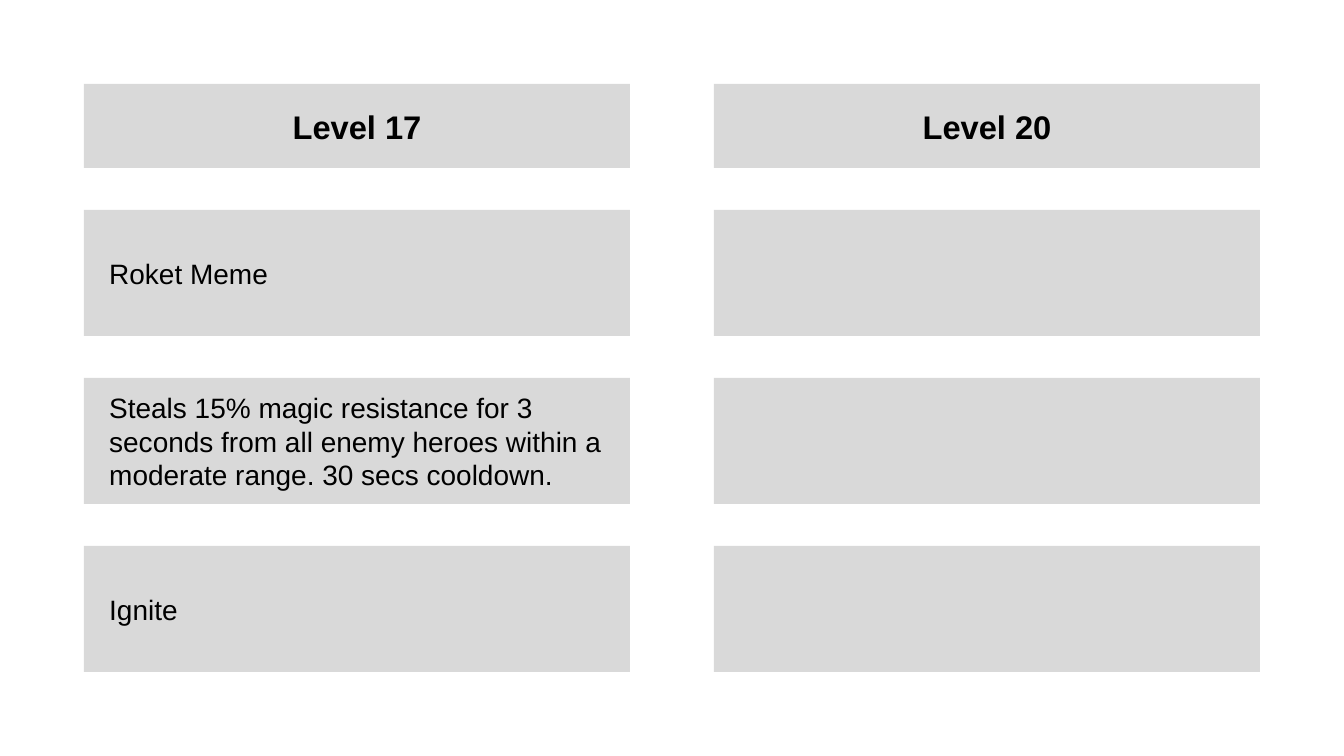
from dataclasses import dataclass

from pptx import Presentation
from pptx.dml.color import RGBColor
from pptx.enum.shapes import MSO_SHAPE
from pptx.enum.text import MSO_ANCHOR, PP_ALIGN
from pptx.util import Inches, Pt


@dataclass(frozen=True)
class Theme:
    panel: RGBColor = RGBColor(0xD9, 0xD9, 0xD9)
    ink: RGBColor = RGBColor(0, 0, 0)
    font: str = "Arial"
    heading_size: int = 28
    body_size: int = 24


THEME = Theme()
HEADING = {"size": Pt(THEME.heading_size), "bold": True}
BODY = {"size": Pt(THEME.body_size), "bold": False}

HEADING_HEIGHT = 1
TALENT_HEIGHT = 1.5
ROW_GAP = 0.5
COLUMN_WIDTH = 6.5
COLUMN_GAP = 1
MARGIN = 1

LEVELS = [
    ("Level 17", [
        "Roket Meme",
        "Steals 15% magic resistance for 3 seconds from all enemy heroes "
        "within a moderate range. 30 secs cooldown.",
        "Ignite",
    ]),
    ("Level 20", ["", "", ""]),
]


def add_panel(slide, box, wording, font_format, align, inset):
    panel = slide.shapes.add_shape(MSO_SHAPE.RECTANGLE, *map(Inches, box))
    panel.shadow.inherit = False
    panel.fill.solid()
    panel.fill.fore_color.rgb = THEME.panel
    panel.line.fill.background()
    if not wording:
        return
    frame = panel.text_frame
    frame_format = {
        "word_wrap": True,
        "vertical_anchor": MSO_ANCHOR.MIDDLE,
        "margin_left": Inches(inset),
    }
    for attribute, value in frame_format.items():
        setattr(frame, attribute, value)
    paragraph = frame.paragraphs[0]
    paragraph.alignment = align
    run = paragraph.add_run()
    run.text = wording
    run.font.color.rgb = THEME.ink
    for attribute, value in {"name": THEME.font, **font_format}.items():
        setattr(run.font, attribute, value)


def add_level(slide, left, top, width, heading, talents):
    add_panel(slide, (left, top, width, HEADING_HEIGHT), heading,
              HEADING, PP_ALIGN.CENTER, 0.1)
    first_talent = top + HEADING_HEIGHT + ROW_GAP
    for row, talent in enumerate(talents):
        talent_top = first_talent + row * (TALENT_HEIGHT + ROW_GAP)
        add_panel(slide, (left, talent_top, width, TALENT_HEIGHT), talent,
                  BODY, PP_ALIGN.LEFT, 0.3)


def main():
    deck = Presentation()
    deck.slide_width = Inches(16)
    deck.slide_height = Inches(9)
    slide = deck.slides.add_slide(deck.slide_layouts.get_by_name("Blank"))
    for column, (heading, talents) in enumerate(LEVELS):
        left = MARGIN + column * (COLUMN_WIDTH + COLUMN_GAP)
        add_level(slide, left, MARGIN, COLUMN_WIDTH, heading, talents)
    deck.save("out.pptx")


if __name__ == "__main__":
    main()
